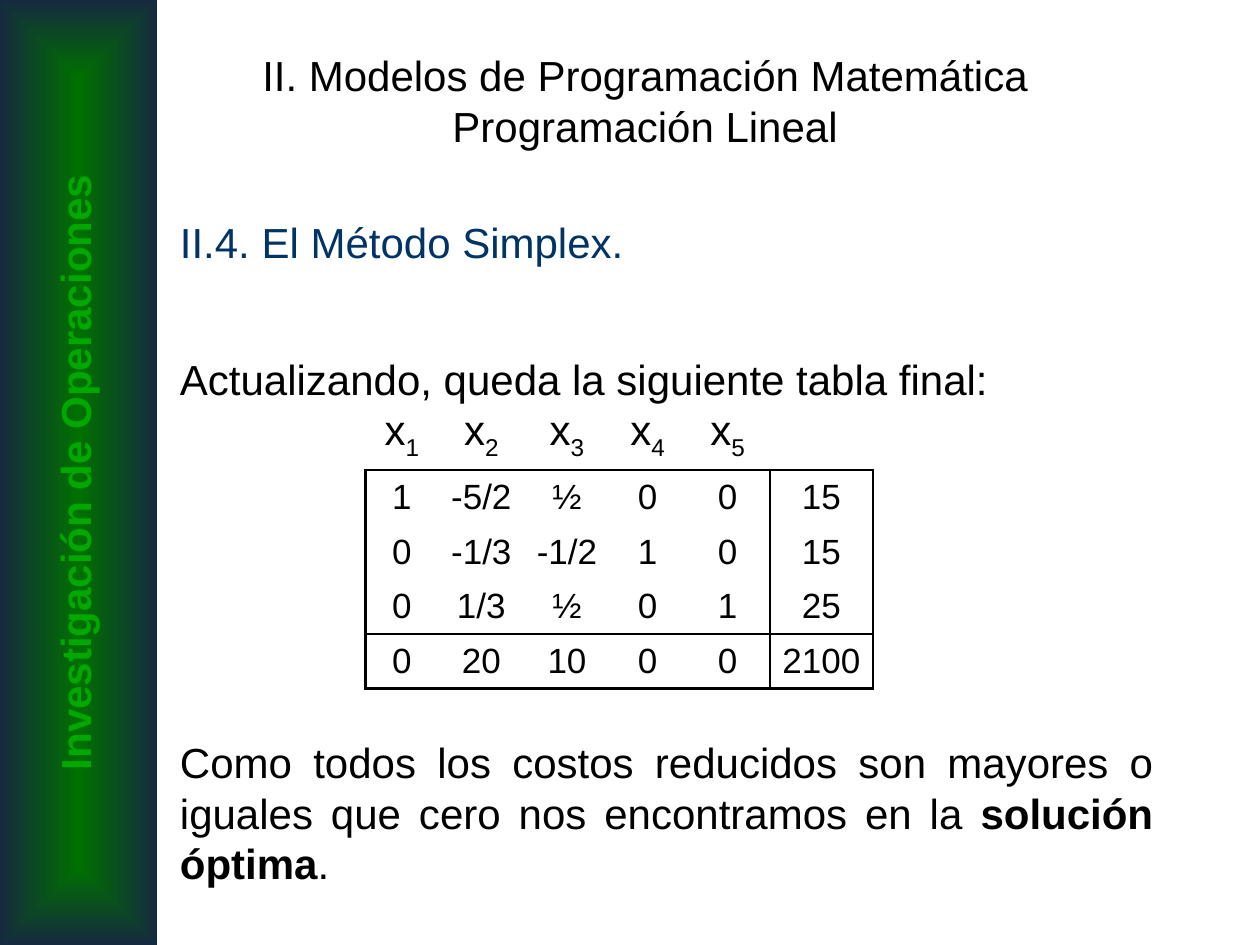
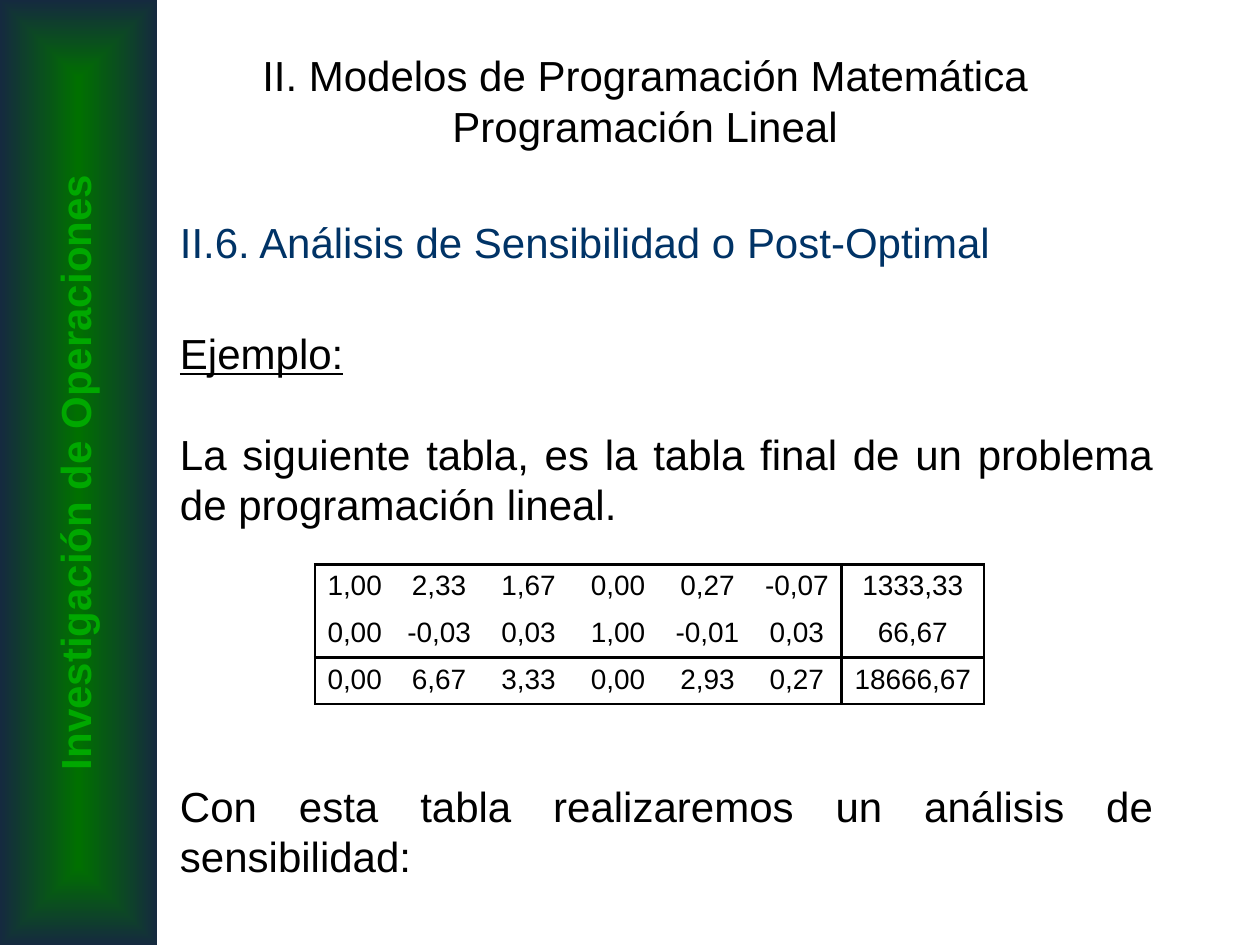
from lxml import etree
from pptx import Presentation
from pptx.dml.color import RGBColor
from pptx.enum import shapes, text
from pptx.oxml import ns
from pptx.util import Inches, Pt

FONT = "Arial"
BLACK, NAVY = "000000", "003366"
BAND_CENTER, BAND_EDGE, BAND_TEXT = "007000", "152A3F", "00A800"
NO_STYLE = "{2D5ABB26-0587-4C30-8999-92F81FD0307C}"
COURSE = "Investigación de Operaciones"
TITLE = "II. Modelos de Programación Matemática\vProgramación Lineal"

LESSONS = [
    dict(
        heading="II.4. El Método Simplex.",
        body=[
            (49.7, [("Actualizando, queda la siguiente tabla final:", "")]),
            (190, [("Como todos los costos reducidos son mayores o iguales "
                    "que cero nos encontramos en la ", ""),
                   ("solución óptima", "bold"), (".", "")]),
        ],
        tableau=dict(
            left=2.9, top=3.17, size=20, anchor=text.MSO_ANCHOR.MIDDLE,
            widths=[0.58, 0.68, 0.68, 0.6, 0.67, 0.82],
            variables=5, header_height=0.56, row_height=0.43,
            rows=[
                ["1", "-5/2", "½", "0", "0", "15"],
                ["0", "-1/3", "-1/2", "1", "0", "15"],
                ["0", "1/3", "½", "0", "1", "25"],
                ["0", "20", "10", "0", "0", "2100"],
            ],
        ),
    ),
    dict(
        heading="II.6. Análisis de Sensibilidad o Post-Optimal",
        body=[
            (34.7, [("Ejemplo:", "underline")]),
            (28.7, [("La siguiente tabla, es la tabla final de un problema "
                     "de programación lineal.", "")]),
            (143.7, [("Con esta tabla realizaremos un análisis de "
                      "sensibilidad:", "")]),
        ],
        tableau=dict(
            left=2.5, top=4.48, size=16, anchor=text.MSO_ANCHOR.TOP,
            widths=[0.63] + [0.71] * 5 + [1.13],
            variables=0, header_height=0, row_height=0.37,
            rows=[
                ["1,00", "2,33", "1,67", "0,00", "0,27", "-0,07", "1333,33"],
                ["0,00", "-0,03", "0,03", "1,00", "-0,01", "0,03", "66,67"],
                ["0,00", "6,67", "3,33", "0,00", "2,93", "0,27", "18666,67"],
            ],
        ),
    ),
]


def rgb(color):
    return RGBColor.from_string(color)


def style(paragraph, color=BLACK, size=24, align=text.PP_ALIGN.CENTER):
    paragraph.alignment = align
    font = paragraph.font
    font.name, font.size = FONT, Pt(size)
    font.color.rgb = rgb(color)


def place(shape, *box):
    shape.left, shape.top, shape.width, shape.height = map(Inches, box)


def add_band(slide):
    band = slide.shapes.add_shape(
        shapes.MSO_SHAPE.RECTANGLE, 0, 0, Inches(1.25), Inches(7.5))
    band.shadow.inherit = False
    band.line.fill.background()
    band.fill.gradient()
    for stop, color in zip(band.fill.gradient_stops, (BAND_CENTER, BAND_EDGE)):
        stop.color.rgb = rgb(color)
    gradient = band._element.spPr.find(ns.qn("a:gradFill"))
    gradient.remove(gradient.find(ns.qn("a:lin")))
    rings = etree.SubElement(gradient, ns.qn("a:path"), path="rect")
    etree.SubElement(rings, ns.qn("a:fillToRect"),
                     l="50000", t="50000", r="50000", b="50000")

    course = slide.shapes.add_textbox(
        Inches(-3.16), Inches(3.5), Inches(7.5), Inches(0.5))
    course.rotation = 270
    course.text_frame.word_wrap = True
    course.text_frame.text = COURSE
    style(course.text_frame.paragraphs[0], BAND_TEXT)
    course.text_frame.paragraphs[0].font.bold = True


def add_title(slide):
    title = slide.shapes.title
    place(title, 1.33, 0.17, 7.58, 1.25)
    title.text_frame.text = TITLE
    title.text_frame.vertical_anchor = text.MSO_ANCHOR.MIDDLE
    style(title.text_frame.paragraphs[0])


def add_body(slide, heading, body):
    frame = slide.shapes.add_textbox(
        Inches(1.33), Inches(1.67), Inches(7.92), Inches(5.5)).text_frame
    frame.word_wrap = True
    frame.text = heading
    style(frame.paragraphs[0], NAVY, align=text.PP_ALIGN.JUSTIFY)
    for gap, runs in body:
        paragraph = frame.add_paragraph()
        paragraph.space_before = Pt(gap)
        style(paragraph, align=text.PP_ALIGN.JUSTIFY)
        for words, emphasis in runs:
            run = paragraph.add_run()
            run.text = words
            if emphasis:
                setattr(run.font, emphasis, True)


def set_borders(cell, sides):
    properties = cell._tc.get_or_add_tcPr()
    for position, side in enumerate("LRTB"):
        line = etree.Element(ns.qn(f"a:ln{side}"), w=str(Pt(1.47)))
        if side in sides:
            fill = etree.SubElement(line, ns.qn("a:solidFill"))
            etree.SubElement(fill, ns.qn("a:srgbClr"), val=BLACK)
        else:
            etree.SubElement(line, ns.qn("a:noFill"))
        properties.insert(position, line)


def sides_of(row, column, first, last, result):
    if row < first:
        return "B" if row == first - 1 else ""
    sides = "L" if column in (0, result) else ""
    sides += "R" if column in (result - 1, result) else ""
    sides += "T" if row in (first, last) else ""
    sides += "B" if row in (last - 1, last) else ""
    return sides


def add_tableau(slide, left, top, size, anchor, widths, variables,
                header_height, row_height, rows):
    header = [[f"x{n + 1}" for n in range(variables)] + [""]] if variables else []
    grid = header + rows
    heights = [header_height] * len(header) + [row_height] * len(rows)
    frame = slide.shapes.add_table(
        len(grid), len(widths), Inches(left), Inches(top),
        Inches(sum(widths)), Inches(sum(heights)))
    table = frame.table
    table.first_row = table.horz_banding = False
    table._tbl.tblPr.find(ns.qn("a:tableStyleId")).text = NO_STYLE
    for column, width in zip(table.columns, widths):
        column.width = Inches(width)
    for row, height in zip(table.rows, heights):
        row.height = Inches(height)
    for r, values in enumerate(grid):
        for c, value in enumerate(values):
            cell = table.cell(r, c)
            cell.margin_left = cell.margin_right = Inches(0.05)
            cell.vertical_anchor = anchor
            cell.fill.background()
            set_borders(cell, sides_of(
                r, c, len(header), len(grid) - 1, len(widths) - 1))
            paragraph = cell.text_frame.paragraphs[0]
            is_variable = r < len(header)
            style(paragraph, size=24 if is_variable else size)
            if is_variable and value:
                paragraph.add_run().text = value[0]
                index = paragraph.add_run()
                index.text = value[1:]
                index.font._element.set("baseline", "-25000")
            elif value:
                paragraph.add_run().text = value


def main():
    deck = Presentation()
    deck.slide_width, deck.slide_height = Inches(10), Inches(7.5)
    for lesson in LESSONS:
        slide = deck.slides.add_slide(deck.slide_layouts[5])
        add_band(slide)
        add_body(slide, lesson["heading"], lesson["body"])
        add_tableau(slide, **lesson["tableau"])
        add_title(slide)
    deck.save("out.pptx")


if __name__ == "__main__":
    main()
